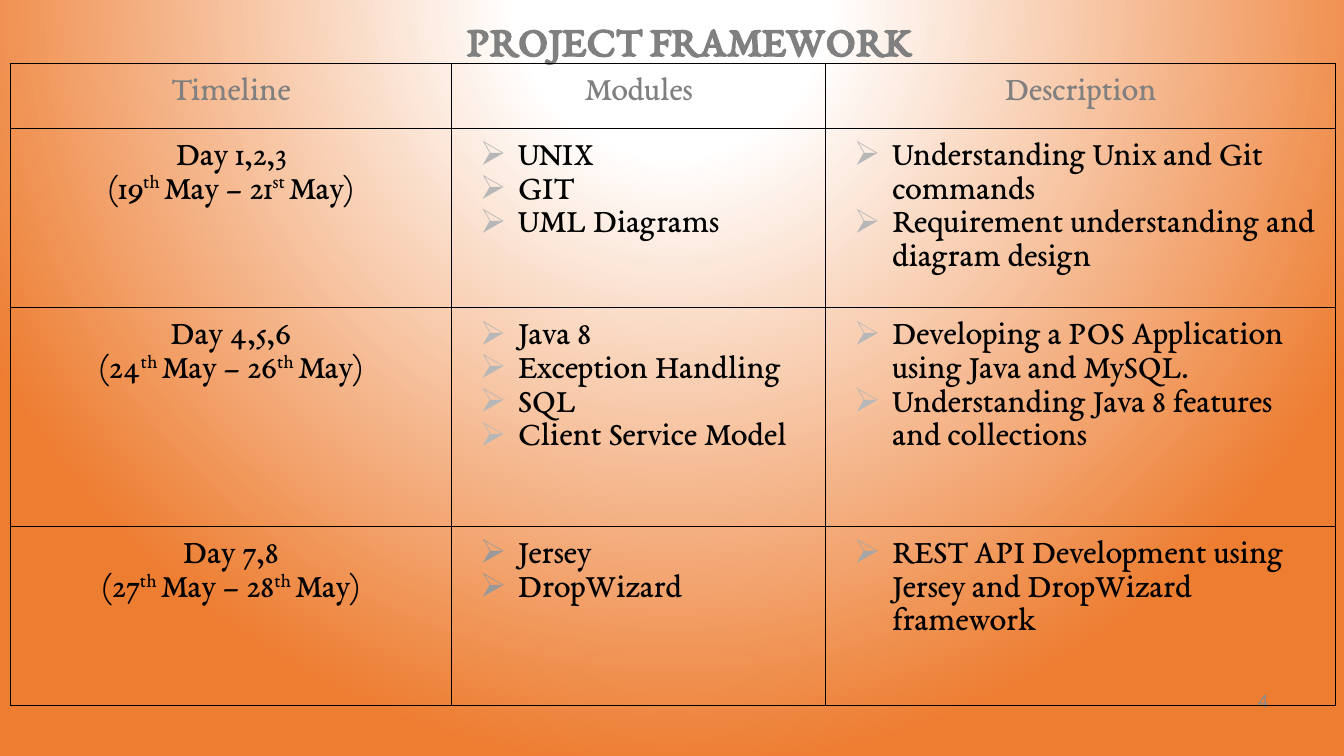
"""Build the project framework slide: a title and a timeline table on a radial gradient."""
from lxml import etree
from pptx import Presentation
from pptx import util as u
from pptx.dml.color import RGBColor
from pptx.enum import text
from pptx.oxml.ns import qn

TITLE, PAGE_NUMBER = "PROJECT FRAMEWORK", "4"
HEADERS = ["Timeline", "Modules", "Description"]
STAGES = [
    {"days": "Day 1,2,3",
     "dates": ["(19", "th ", "May – 21", "st ", "May)"],
     "modules": ["UNIX", "GIT", "UML Diagrams"],
     "description": ["Understanding Unix and Git commands",
                     "Requirement understanding and diagram design"],
     "bullets": ("B7B7B7", "B7B7B7")},
    {"days": "Day 4,5,6",
     "dates": ["(24", "th ", "May – 26", "th ", "May)"],
     "modules": ["Java 8", "Exception Handling", "SQL", "Client Service Model"],
     "description": ["Developing a POS Application using Java and MySQL.",
                     "Understanding Java 8 features and collections"],
     "bullets": ("B7B7B7", "B7B7B7")},
    {"days": "Day 7,8",
     "dates": ["(27", "th ", "May – 28", "th ", "May)"],
     "modules": ["Jersey", "DropWizard"],
     "description": ["REST API Development using Jersey and DropWizard framework"],
     "bullets": ("999999", "A6A6A6")},
]
COLUMNS, ROWS = [4.38, 3.71, 5.06], [0.64, 1.78, 2.17, 1.78]
LEFT, TOP, INSET = 0.1, 0.63, 0.13
GRADIENT = [(0, "FFFFFF"), (20, "FFFFFF"), (100, "ED7D31")]
GREY, BLACK, ORANGE_END = "808080", "000000", {"l": 50, "t": -80, "r": 50, "b": 180}
CENTER, RIGHT = text.PP_ALIGN.CENTER, text.PP_ALIGN.RIGHT


def color(value):
    return RGBColor.from_string(value)


def child(parent, tag, **attributes):
    return etree.SubElement(parent, qn(tag), {k: str(v) for k, v in attributes.items()})


def write(frame, lines, size=24, font="EB Garamond", fill=BLACK, bold=False,
          align=None, bullet=None, spacing=None):
    """Fill a text frame; a line given as a list alternates normal and raised runs."""
    for index, line in enumerate(lines):
        para = frame.paragraphs[0] if index == 0 else frame.add_paragraph()
        if align is not None:
            para.alignment = align
        if spacing:
            para.line_spacing = u.Pt(spacing)
        if bullet:
            properties = para._p.get_or_add_pPr()
            properties.set("marL", str(u.Inches(0.53)))
            properties.set("indent", str(u.Inches(-0.38)))
            child(child(properties, "a:buClr"), "a:srgbClr", val=bullet)
            child(properties, "a:buChar", char="➢")
        for position, part in enumerate([line] if isinstance(line, str) else line):
            span = para.add_run()
            span.text = part
            span.font.size, span.font.name, span.font.bold = u.Pt(size), font, bold
            span.font.color.rgb = color(fill)
            if position % 2:
                span._r.get_or_add_rPr().set("baseline", "30000")


def set_insets(holder, inset):
    holder.margin_left = holder.margin_right = u.Inches(inset)
    holder.margin_top = holder.margin_bottom = u.Inches(inset)


def fill_cell(cell, lines, **style):
    set_insets(cell, INSET)
    properties = cell._tc.get_or_add_tcPr()
    for side in ("a:lnL", "a:lnR", "a:lnT", "a:lnB"):
        line = child(properties, side, w=u.Pt(0.75))
        child(child(line, "a:solidFill"), "a:srgbClr", val=BLACK)
    cell.fill.background()
    write(cell.text_frame, lines, spacing=24, **style)


def paint_background(page):
    page.background.fill.gradient()
    gradient = page.element.find(".//" + qn("a:gradFill"))
    for part in list(gradient):
        gradient.remove(part)
    stops = child(gradient, "a:gsLst")
    for share, value in GRADIENT:
        child(child(stops, "a:gs", pos=share * 1000), "a:srgbClr", val=value)
    shade = child(gradient, "a:path", path="circle")
    child(shade, "a:fillToRect", **{k: v * 1000 for k, v in ORANGE_END.items()})


def add_timeline(page):
    frame = page.shapes.add_table(len(ROWS), len(COLUMNS), u.Inches(LEFT), u.Inches(TOP),
                                  u.Inches(sum(COLUMNS)), u.Inches(sum(ROWS)))
    table = frame.table
    table.first_row = table.horz_banding = False
    for column, width in zip(table.columns, COLUMNS):
        column.width = u.Inches(width)
    for row, height in zip(table.rows, ROWS):
        row.height = u.Inches(height)
    for index, header in enumerate(HEADERS):
        fill_cell(table.cell(0, index), [header], fill=GREY, align=CENTER)
    for row, stage in enumerate(STAGES, 1):
        fill_cell(table.cell(row, 0), [stage["days"], stage["dates"]], align=CENTER)
        for column, key in enumerate(("modules", "description")):
            fill_cell(table.cell(row, column + 1), stage[key],
                      bullet=stage["bullets"][column])


def main():
    deck = Presentation()
    deck.slide_width, deck.slide_height = u.Inches(13.33), u.Inches(7.5)
    page = deck.slides.add_slide(deck.slide_layouts[5])
    paint_background(page)

    number = page.shapes.add_textbox(u.Inches(12.28), u.Inches(6.9), u.Inches(0.3), u.Inches(0.1))
    set_insets(number.text_frame, 0)
    number.text_frame.word_wrap = True
    number.text_frame.vertical_anchor = text.MSO_ANCHOR.MIDDLE
    write(number.text_frame, [PAGE_NUMBER], size=14.7, font="Calibri", fill="8C8C8C", align=RIGHT)

    add_timeline(page)

    title = page.shapes.title
    title.left, title.top = u.Inches(2.76), u.Inches(0)
    title.width, title.height = u.Inches(8.15), u.Inches(0.79)
    set_insets(title.text_frame, INSET)
    title.text_frame.auto_size = text.MSO_AUTO_SIZE.NONE
    title.text_frame.vertical_anchor = text.MSO_ANCHOR.TOP
    write(title.text_frame, [TITLE], size=30.7, fill=GREY, bold=True, align=CENTER)

    deck.save("out.pptx")


if __name__ == "__main__":
    main()
